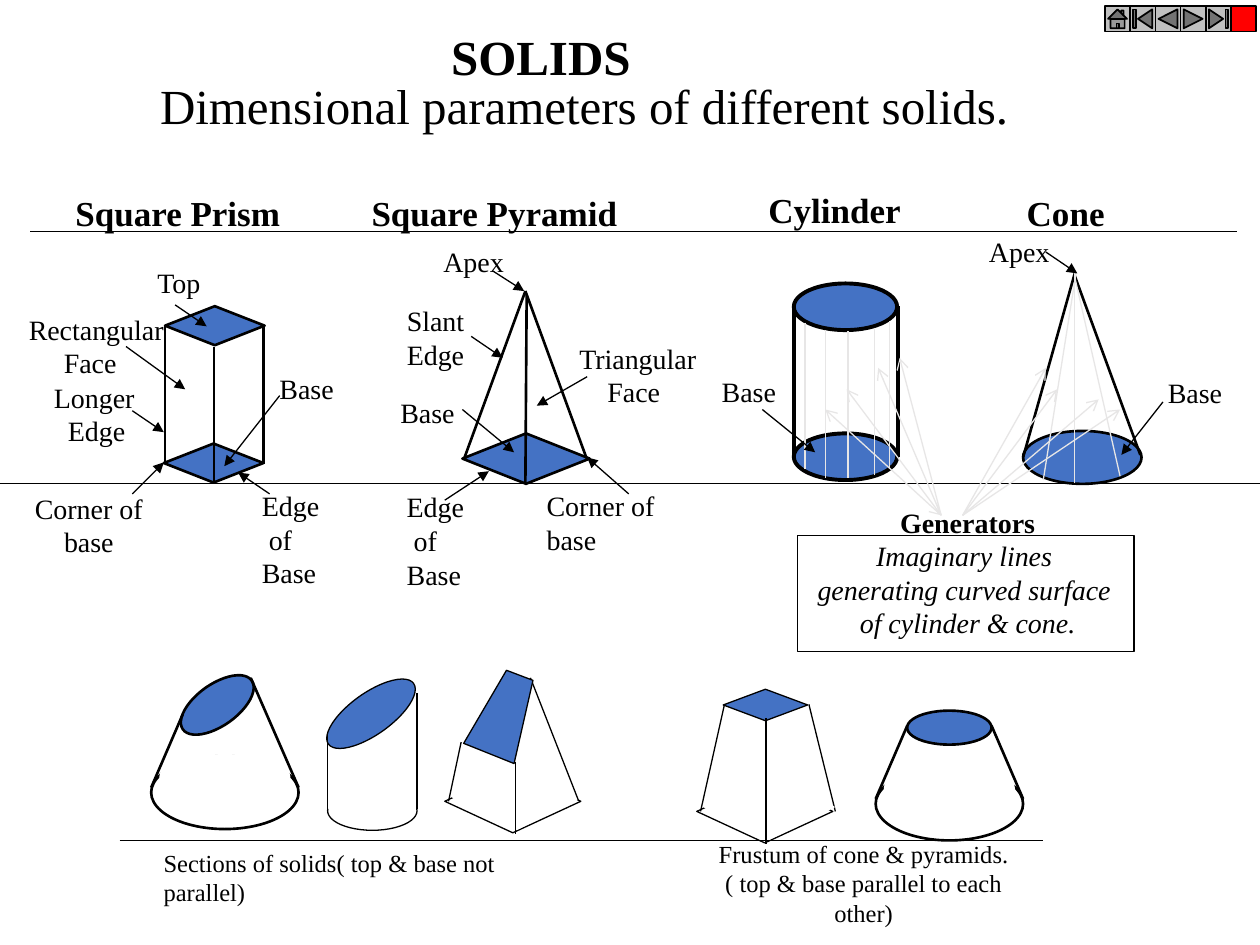
from typing import NamedTuple

from lxml.etree import SubElement
from pptx import Presentation
from pptx.dml.color import RGBColor
from pptx.enum.shapes import MSO_CONNECTOR, MSO_SHAPE
from pptx.enum.text import MSO_ANCHOR, PP_ALIGN
from pptx.oxml.ns import qn
from pptx.util import Cm, Length, Pt

BLACK, WHITE, BLUE, PALE, SILVER, RED = "000000", "FFFFFF", "4472C4", "E7E6E6", "C0C0C0", "FF0000"
FONT = "Times New Roman"
OVAL, DIAMOND, RECT = MSO_SHAPE.OVAL, MSO_SHAPE.DIAMOND, MSO_SHAPE.RECTANGLE


class Area(NamedTuple):
    kind: MSO_SHAPE
    left: float
    top: float
    width: float
    height: float
    fill: str = BLUE
    weight: float = 1.5
    outline: str = BLACK
    turn: float = 0


class Edge(NamedTuple):
    x1: float
    y1: float
    x2: float
    y2: float
    weight: float = 1.5
    color: str = BLACK
    head: str = ""
    tail: str = ""


class Outline(NamedTuple):
    points: list
    fill: str = BLUE
    weight: float = 0.75


class Label(NamedTuple):
    left: float
    top: float
    width: float
    height: float
    lines: list
    indents: tuple = (0, 0, 0, 0)
    size: float = 16
    bold: bool = False
    align: PP_ALIGN = PP_ALIGN.LEFT
    wrap: bool = False


def inch(value: float) -> Length:
    return Cm(value * 2.54)


def color(value: str) -> RGBColor:
    return RGBColor.from_string(value)


def paint(shape, fill: str, outline: str, weight: float) -> None:
    shape.shadow.inherit = False
    shape.fill.solid()
    shape.fill.fore_color.rgb = color(fill)
    shape.line.color.rgb = color(outline)
    shape.line.width = Pt(weight)


def draw_area(shapes, area: Area) -> None:
    shape = shapes.add_shape(area.kind, *map(inch, area[1:5]))
    shape.rotation = area.turn
    paint(shape, area.fill, area.outline, area.weight)


def draw_edge(shapes, edge: Edge) -> None:
    line = shapes.add_connector(MSO_CONNECTOR.STRAIGHT, *map(inch, edge[:4]))
    line.line.color.rgb = color(edge.color)
    line.line.width = Pt(edge.weight)
    outline = line.line._get_or_add_ln()
    for end, style in (("a:headEnd", edge.head), ("a:tailEnd", edge.tail)):
        if style:
            SubElement(outline, qn(end), type=style)
    SubElement(line._element.spPr, qn("a:effectLst"))


def draw_outline(shapes, outline: Outline) -> None:
    points = [(inch(x), inch(y)) for x, y in outline.points]
    builder = shapes.build_freeform(*points[0], scale=1.0)
    builder.add_line_segments(points[1:], close=True)
    paint(builder.convert_to_shape(), outline.fill, BLACK, outline.weight)


def draw_parts(shapes, parts: list) -> None:
    draw = {Area: draw_area, Edge: draw_edge, Outline: draw_outline}
    for part in parts:
        draw[type(part)](shapes, part)


def write(box, label: Label) -> None:
    """Place the box and fill it with one paragraph per line; indents are points."""
    box.left, box.top, box.width, box.height = map(inch, label[:4])
    frame = box.text_frame
    frame.word_wrap = label.wrap
    frame.vertical_anchor = MSO_ANCHOR.TOP
    for index, (text, indent) in enumerate(zip(label.lines, label.indents)):
        para = frame.add_paragraph() if index else frame.paragraphs[0]
        para.alignment = label.align
        para.space_before = Pt(0)
        if indent:
            para._p.get_or_add_pPr().set("marL", str(Pt(indent)))
        span = para.add_run()
        span.text = text
        span.font.name, span.font.size, span.font.bold = FONT, Pt(label.size), label.bold
        span.font.color.rgb = color(BLACK)


def add_label(shapes, label: Label):
    box = shapes.add_textbox(*map(inch, label[:4]))
    write(box, label)
    return box


def cut_cone(left: float, top: float, lid: Area, shoulders: list) -> list:
    """Base ellipse, lid, two sides and a white ellipse hiding the back of the base."""
    feet = (left, left + 1.17)
    return [Area(OVAL, left, top, 1.17, 0.58, WHITE), lid,
            *(Edge(x, y, foot, top + 0.25) for (x, y), foot in zip(shoulders, feet)),
            Area(OVAL, left + 0.07, top - 0.01, 1.03, 0.35, WHITE, 0.75, WHITE)]


def pyramid_base(left: float, top: float) -> list:
    return [Area(DIAMOND, left, top, 1.08, 0.5, WHITE, 0.75),
            Area(DIAMOND, left + 0.06, top - 0.04, 1.03, 0.51, WHITE, 0.75, WHITE)]


def thin(*ends: float) -> Edge:
    return Edge(*ends, weight=0.75)


CYLINDER = [Area(OVAL, 6.3, 2.25, 0.82, 0.37, weight=2.25),
            *(Edge(x, 2.43, x, 3.63, 2.25) for x in (6.3, 7.13)),
            Area(OVAL, 6.3, 3.44, 0.82, 0.37, weight=2.25)]
CONE = [Area(OVAL, 8.12, 3.42, 0.94, 0.42), Edge(8.53, 2.17, 8.12, 3.63), Edge(8.53, 2.19, 9.05, 3.61)]
PYRAMID = [*(Edge(4.17, 2.31, x, 3.65) for x in (3.68, 4.66)),
           Area(DIAMOND, 3.67, 3.44, 1.01, 0.4), Edge(4.18, 2.34, 4.17, 3.84)]
PRISM = [Area(DIAMOND, 1.31, 2.43, 0.79, 0.31), *(Edge(x, 2.58, x, 3.68) for x in (1.31, 2.09)),
         Area(DIAMOND, 1.3, 3.52, 0.79, 0.31), Edge(1.7, 3.83, 1.7, 2.75)]

GENERATORS = [Edge(*ends, 0.75, PALE) for ends in (
    (6.39, 2.56, 6.39, 3.72), (6.55, 2.62, 6.55, 3.79), (6.73, 2.63, 6.73, 3.79),
    (6.94, 2.6, 6.94, 3.77), (7.06, 2.55, 7.06, 3.72),
    (8.54, 2.17, 8.28, 3.81), (8.53, 2.2, 8.89, 3.78), (8.53, 2.17, 8.53, 3.84))]
GENERATOR_POINTERS = [
    Edge(x, y, source, 4.09, 0.75, PALE, "arrow", "arrow" if x == 6.55 else "")
    for source, targets in ((7.47, ((6.55, 3.25), (6.72, 3.09), (6.97, 2.92), (7.14, 2.84))),
                            (7.64, ((8.3, 2.92), (8.39, 3.09), (8.72, 3.17), (8.89, 3.25))))
    for x, y in targets]
POINTERS = [Edge(*ends, 0.75, tail="triangle") for ends in (
    (1, 2.75, 1.47, 3.09), (1.39, 2.42, 1.64, 2.59), (1.05, 3.26, 1.3, 3.43),
    (3.74, 2.67, 3.99, 2.84), (4.66, 2.99, 4.26, 3.22), (3.91, 2.15, 4.16, 2.31),
    (4.99, 3.92, 4.66, 3.63), (3.53, 3.97, 3.88, 3.74), (3.67, 3.25, 4.08, 3.59),
    (1.05, 3.92, 1.3, 3.67), (2.14, 3.92, 1.89, 3.75), (2.22, 3.14, 1.78, 3.7),
    (6.05, 3.25, 6.47, 3.59), (8.3, 2, 8.55, 2.17), (9.23, 3.19, 8.9, 3.61))]
RULES = [thin(0, 3.84, 10, 3.84), thin(0.24, 1.84, 9.82, 1.84), thin(0.95, 6.67, 8.28, 6.67)]

CONE_FRUSTUM = cut_cone(6.95, 6.09, Area(OVAL, 7.2, 5.64, 0.67, 0.27), [(7.2, 5.76), (7.87, 5.76)])
CONE_SECTION = cut_cone(1.2, 6, Area(OVAL, 1.39, 5.43, 0.67, 0.33, turn=324.6), [(1.45, 5.67), (1.99, 5.38)])
frustum_base, frustum_mask = pyramid_base(5.53, 6.19)
PYRAMID_FRUSTUM = [frustum_base, Area(DIAMOND, 5.74, 5.47, 0.67, 0.25, weight=0.75),
                   thin(5.75, 5.59, 5.56, 6.44), thin(6.42, 5.59, 6.63, 6.44),
                   frustum_mask, thin(6.08, 5.7, 6.08, 6.7)]
section_base, section_mask = pyramid_base(3.53, 6.11)
PYRAMID_SECTION = [section_base, thin(3.66, 5.89, 3.56, 6.36), section_mask,
                   thin(4.09, 6.05, 4.09, 6.62), thin(4.21, 5.38, 4.59, 6.35),
                   Outline([(4.08, 6.06), (4.23, 5.4), (4.02, 5.32), (3.68, 5.9)])]
CYLINDER_SECTION = [Area(OVAL, 2.6, 6.28, 0.71, 0.31, WHITE, 0.75),
                    Area(OVAL, 2.53, 5.5, 0.83, 0.33, weight=0.75, turn=324.6),
                    thin(2.6, 5.83, 2.6, 6.42), Area(RECT, 2.61, 6.25, 0.7, 0.17, WHITE, 0.75, WHITE),
                    thin(3.31, 5.5, 3.31, 6.42)]
BUTTONS = [Area(kind, 8.77 + 0.2 * index, 0.05, 0.2, 0.2, fill, 1) for index, (kind, fill) in enumerate((
    (MSO_SHAPE.ACTION_BUTTON_HOME, SILVER), (MSO_SHAPE.ACTION_BUTTON_BEGINNING, SILVER),
    (MSO_SHAPE.ACTION_BUTTON_BACK_OR_PREVIOUS, SILVER), (MSO_SHAPE.ACTION_BUTTON_FORWARD_OR_NEXT, SILVER),
    (MSO_SHAPE.ACTION_BUTTON_END, SILVER), (MSO_SHAPE.ACTION_BUTTON_CUSTOM, RED)))]

HEADINGS = [Label(left, top, width, 0.43, [text], size=20, bold=True) for left, top, width, text in (
    (0.5, 1.47, 1.83, "Square Prism"), (2.85, 1.47, 2.15, "Square Pyramid"),
    (6, 1.45, 1.25, "Cylinder"), (8.05, 1.47, 0.82, "Cone"))]
LABELS = [
    Label(1.15, 2.06, 0.56, 0.37, ["Top"]),
    Label(0.13, 2.43, 1.28, 0.64, ["Rectangular", "Face"], (0, 20)),
    Label(0.33, 2.97, 0.9, 0.64, ["Longer", "Edge"], (0, 8)),
    Label(4.5, 2.66, 1.14, 0.64, ["Triangular", "Face"], (0, 16)),
    Label(3.13, 2.36, 0.72, 0.64, ["Slant", "Edge"]),
    *(Label(x, y, 0.63, 0.37, ["Base"]) for x, y in ((2.12, 2.9), (3.08, 3.09), (5.63, 2.92), (9.17, 2.93))),
    *(Label(x, y, 0.68, 0.37, ["Apex"]) for x, y in ((3.42, 1.89), (7.75, 1.81))),
    *(Label(x, y, 0.66, 0.9, ["Edge", "of", "Base"], (0, 4, 0)) for x, y in ((1.98, 3.83), (3.13, 3.84))),
    Label(0.01, 3.85, 1.39, 0.64, ["Corner of base"], align=PP_ALIGN.CENTER, wrap=True),
    Label(4.24, 3.83, 1.39, 0.64, ["Corner of base"], wrap=True),
    Label(1.2, 6.68, 3.5, 0.57, ["Sections of solids( top & base not parallel)"], size=14, wrap=True),
    Label(5.43, 6.61, 2.85, 0.8, ["Frustum of cone & pyramids.", "( top & base parallel to each other)"],
          size=14, align=PP_ALIGN.CENTER, wrap=True)]
DEFINITION = Label(6.38, 3.96, 2.6, 1.17, ["Generators", "Imaginary lines ", "generating curved surface ",
                                           "of cylinder & cone."], align=PP_ALIGN.CENTER)


def main() -> None:
    deck = Presentation()
    deck.slide_width, deck.slide_height = inch(10), inch(7.5)
    page = deck.slides.add_slide(deck.slide_layouts[0])
    write(page.shapes.title, Label(3.48, 0.16, 1.63, 0.57, ["SOLIDS"], size=28, bold=True))
    write(page.placeholders[1], Label(1.17, 0.55, 6.94, 0.57,
                                      ["Dimensional parameters of different solids."], size=28))
    for solid in (CYLINDER, CONE, PYRAMID, PRISM, GENERATORS, CONE_FRUSTUM, CONE_SECTION,
                  PYRAMID_FRUSTUM, PYRAMID_SECTION, CYLINDER_SECTION, BUTTONS):
        draw_parts(page.shapes.add_group_shape().shapes, solid)
    draw_parts(page.shapes, RULES + POINTERS + GENERATOR_POINTERS)
    for label in HEADINGS + LABELS:
        add_label(page.shapes, label)
    draw_area(page.shapes, Area(RECT, 6.33, 4.25, 2.67, 0.92, WHITE, 0.75))
    definition = add_label(page.shapes, DEFINITION)
    for index, para in enumerate(definition.text_frame.paragraphs):
        para.runs[0].font.bold, para.runs[0].font.italic = index == 0, index > 0
    deck.save("out.pptx")


if __name__ == "__main__":
    main()
